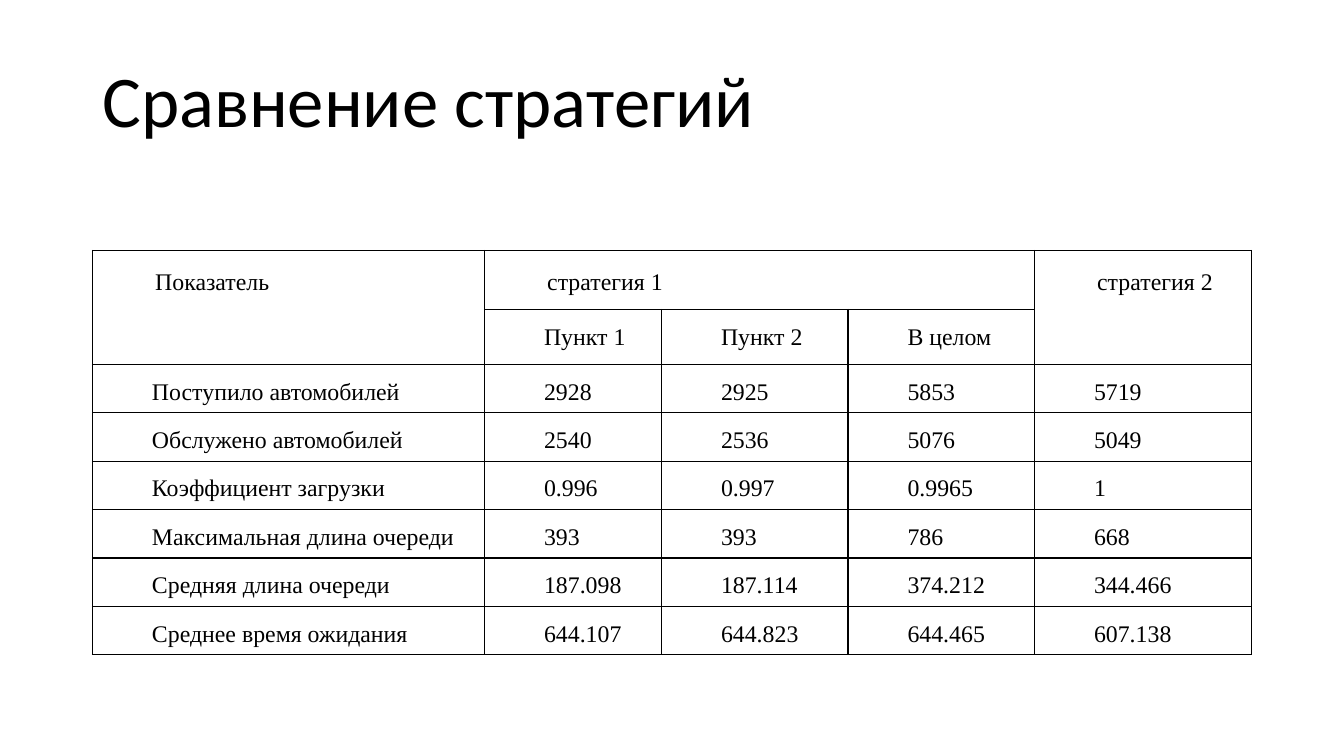
import dataclasses

import lxml.etree
import pptx
import pptx.dml.color
import pptx.enum.text
import pptx.oxml.ns
import pptx.util

Cm = pptx.util.Cm
Pt = pptx.util.Pt


@dataclasses.dataclass(frozen=True)
class Theme:
    """Colours, fonts and type sizes of the slide."""
    ink: str = "000000"
    head: str = "Calibri"
    body: str = "Times New Roman"
    big: int = 52
    small: int = 17
    line: int = 1


@dataclasses.dataclass(frozen=True)
class Span:
    """A header cell stretched over rows and columns."""
    row: int
    col: int
    down: int
    across: int
    text: str


THEME = Theme()
COLS = (9.88, 4.46, 4.7, 4.7, 5.47)
ROWS = (1.49, 1.35) + (1.22,) * 6
SPANS = (
    Span(0, 0, 2, 1, "Показатель"),
    Span(0, 1, 1, 3, "стратегия 1"),
    Span(0, 4, 2, 1, "стратегия 2"),
)
DATA = (
    ("", "Пункт 1", "Пункт 2", "В целом", ""),
    ("Поступило автомобилей", "2928", "2925", "5853", "5719"),
    ("Обслужено автомобилей", "2540", "2536", "5076", "5049"),
    ("Коэффициент загрузки", "0.996", "0.997", "0.9965", "1"),
    ("Максимальная длина очереди", "393", "393", "786", "668"),
    ("Средняя длина очереди", "187.098", "187.114", "374.212", "344.466"),
    ("Среднее время ожидания", "644.107", "644.823", "644.465", "607.138"),
)


def style(font: pptx.text.text.Font, name: str, size: int) -> None:
    """Set typeface, size and ink colour."""
    font.name = name
    font.size = Pt(size)
    font.color.rgb = pptx.dml.color.RGBColor.from_string(THEME.ink)


def border(cell: pptx.table._Cell) -> None:
    """Rule all four sides of a cell."""
    props = cell._tc.get_or_add_tcPr()
    tag = pptx.oxml.ns.qn
    for spot, side in enumerate("LRTB"):
        line = lxml.etree.Element(tag(f"a:ln{side}"), w=str(Pt(THEME.line)))
        fill = lxml.etree.SubElement(line, tag("a:solidFill"))
        lxml.etree.SubElement(fill, tag("a:srgbClr"), val=THEME.ink)
        props.insert(spot, line)


def write(cell: pptx.table._Cell, text: str, side: float, top: float, foot: float) -> None:
    """Put indented, justified text in a cell with the given margins in cm."""
    cell.margin_left = cell.margin_right = Cm(side)
    cell.margin_top, cell.margin_bottom = Cm(top), Cm(foot)
    para = cell.text_frame.paragraphs[0]
    para.text = text
    para.alignment = pptx.enum.text.PP_ALIGN.JUSTIFY
    para.line_spacing = 1.5
    para._p.get_or_add_pPr().set("indent", str(Cm(1.25)))
    for run in para.runs:
        style(run.font, THEME.body, THEME.small)


def title(slide: pptx.slide.Slide, text: str) -> None:
    """Add the slide heading."""
    box = slide.shapes.add_textbox(Cm(2.33), Cm(0.51), Cm(29.21), Cm(4.2))
    frame = box.text_frame
    frame.word_wrap = True
    frame.vertical_anchor = pptx.enum.text.MSO_ANCHOR.MIDDLE
    frame.text = text
    para = frame.paragraphs[0]
    para.line_spacing = 0.9
    style(para.runs[0].font, THEME.head, THEME.big)


def grid(slide: pptx.slide.Slide) -> None:
    """Add the table that compares the strategies."""
    shape = slide.shapes.add_table(
        len(ROWS), len(COLS), Cm(2.33), Cm(6.31), Cm(sum(COLS)), Cm(sum(ROWS)))
    table = shape.table
    table.first_row = table.horz_banding = False
    for col, width in zip(table.columns, COLS):
        col.width = Cm(width)
    for row, height in zip(table.rows, ROWS):
        row.height = Cm(height)
    for cell in table.iter_cells():
        cell.fill.background()
        border(cell)
    for row, line in enumerate(DATA, 1):
        for col, text in enumerate(line):
            write(table.cell(row, col), text, 0.25, 0.03, 0)
    for span in SPANS:
        cell = table.cell(span.row, span.col)
        cell.merge(table.cell(span.row + span.down - 1, span.col + span.across - 1))
        write(cell, span.text, 0.33, 0.15, 0.15)


def main() -> None:
    """Build and save the slide."""
    deck = pptx.Presentation()
    deck.slide_width, deck.slide_height = Cm(33.87), Cm(19.05)
    slide = deck.slides.add_slide(deck.slide_layouts[6])
    title(slide, "Сравнение стратегий")
    grid(slide)
    deck.save("out.pptx")


main()
